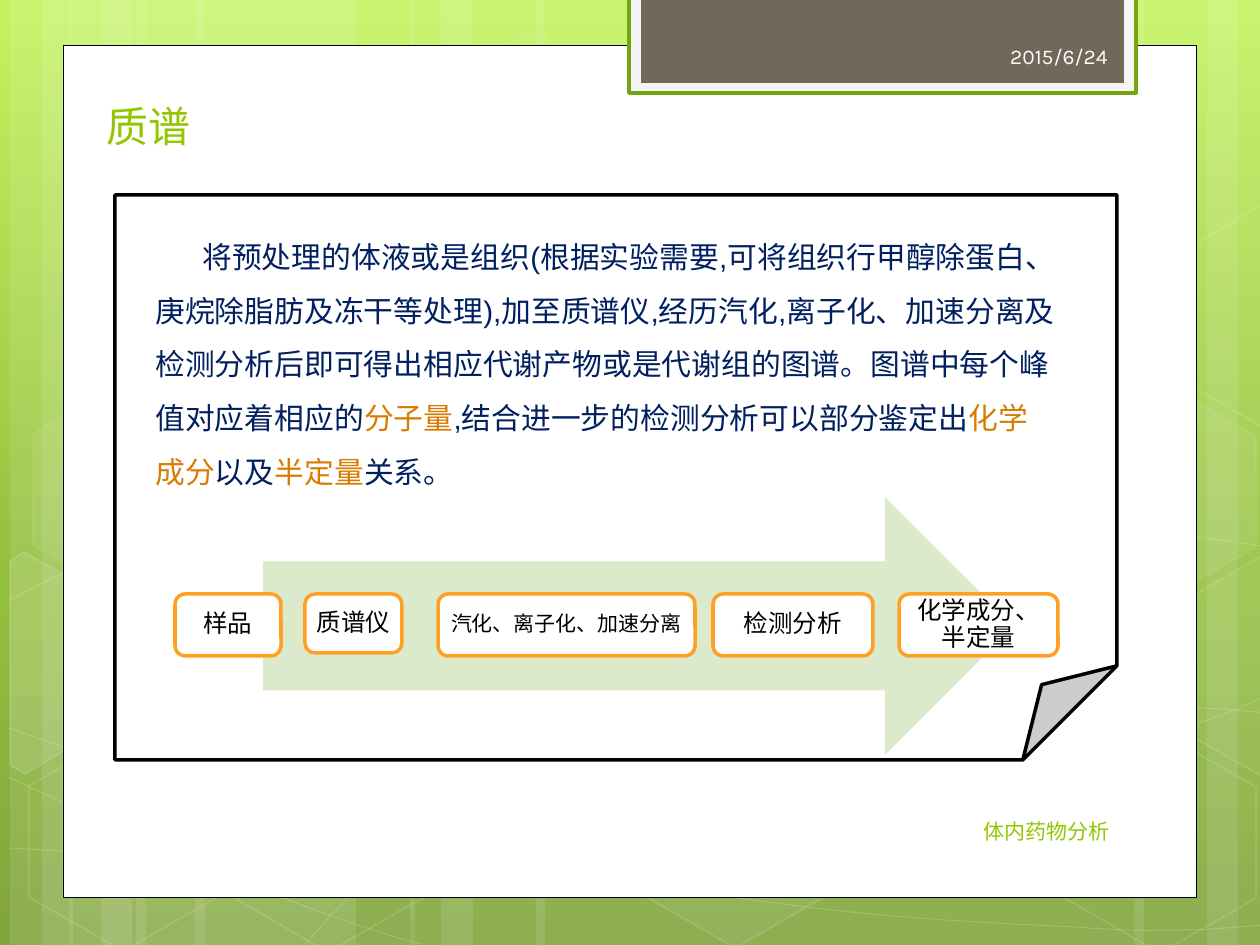
"""Build the mass spectrometry slide: green backdrop, folded note and process arrow."""
import copy

import lxml.etree
import pptx
import pptx.dml.color
import pptx.enum.shapes
import pptx.enum.text
import pptx.oxml.ns
import pptx.util

RGB = pptx.dml.color.RGBColor
KIND = pptx.enum.shapes.MSO_SHAPE
ANCHOR = pptx.enum.text.MSO_ANCHOR
ALIGN = pptx.enum.text.PP_ALIGN
qn = pptx.oxml.ns.qn
UNIT = 914400 / 126

WHITE = RGB(0xFF, 0xFF, 0xFF)
BLACK = RGB(0x00, 0x00, 0x00)
LIME = RGB(0x94, 0xC6, 0x00)
MOSS = RGB(0x74, 0xA5, 0x10)
SMOKE = RGB(0xF5, 0xF5, 0xF5)
TAUPE = RGB(0x71, 0x68, 0x5A)
PEARL = RGB(0xFE, 0xFE, 0xFE)
NAVY = RGB(0x00, 0x20, 0x60)
AMBER = RGB(0xD7, 0x7C, 0x01)
ORANGE = RGB(0xFE, 0xA0, 0x22)
MINT = RGB(0xDC, 0xEA, 0xCC)
SKY = [(0, RGB(0xC3, 0xF3, 0x5F)), (0.62, RGB(0x93, 0xBF, 0x3F)),
       (1, RGB(0x81, 0xA5, 0x3E))]

deck = pptx.Presentation()
deck.slide_width = pptx.util.Inches(10)
deck.slide_height = pptx.util.Inches(7.5)
slide = deck.slides.add_slide(deck.slide_layouts[6])
shapes = slide.shapes


def paint(item, fill=None, line=None, width=1, fade=100, dim=100):
    item.shadow.inherit = False
    if fill is None:
        item.fill.background()
    else:
        item.fill.solid()
        item.fill.fore_color.rgb = fill
    if line is None:
        item.line.fill.background()
    else:
        item.line.color.rgb = line
        item.line.width = pptx.util.Pt(width)
    for solid in item._element.spPr.iter(qn("a:solidFill")):
        part = dim if solid.getparent().tag == qn("a:ln") else fade
        if part < 100:
            lxml.etree.SubElement(solid[0], qn("a:alpha")).set("val", str(part * 1000))


def write(item, runs, size, face="Karla", align=ALIGN.LEFT, anchor=ANCHOR.MIDDLE):
    frame = item.text_frame
    frame.word_wrap = True
    frame.vertical_anchor = anchor
    para = frame.paragraphs[0]
    para.alignment = align
    for text, color in runs:
        run = para.add_run()
        run.text = text
        run.font.size = pptx.util.Pt(size)
        run.font.name = face
        run.font.color.rgb = color
    return para


back = slide.background.fill
back.gradient()
back.gradient_angle = 270
stops = next(slide._element.iter(qn("a:gsLst")))
stops.append(copy.deepcopy(stops[-1]))
for stop, (place, color) in zip(back.gradient_stops, SKY):
    stop.position = place
    stop.color.rgb = color

beams = [(136, 220), (10, 63), (42, 104), (195, 220), (69, 63), (101, 104),
         (924, 220), (1207, 63), (1134, 104), (536, 388), (410, 63), (441, 104)]
for x, w in beams:
    box = [round(v * UNIT) for v in (x, 0, w, 945)]
    paint(shapes.add_shape(KIND.RECTANGLE, *box), WHITE, fade=10)

curves = [
    [(9, 848), (77, 852), (145, 856), (239, 854), (334, 853), (451, 851), (577, 838),
     (703, 825), (882, 801), (998, 777), (1113, 753), (1231, 716), (1269, 694)],
    [(9, 601), (45, 581), (82, 562), (152, 543), (224, 524), (326, 496), (437, 488),
     (549, 479), (685, 478), (824, 488), (963, 498), (1193, 537), (1269, 547)],
    [(8, 777), (160, 847), (311, 916), (421, 944)],
    [(9, 728), (48, 742), (88, 756), (161, 776), (234, 795), (344, 827), (450, 848),
     (554, 869), (687, 892), (791, 905), (896, 919), (1008, 924), (1075, 927),
     (1140, 932), (1158, 930), (1191, 930), (1223, 929), (1246, 926), (1269, 925)],
    [(305, 944), (328, 919), (350, 893), (381, 871), (411, 848), (454, 825), (489, 805),
     (524, 788), (546, 780), (592, 767), (638, 754), (722, 737), (766, 728),
     (811, 719), (818, 719), (857, 717), (896, 713), (958, 709), (1000, 708),
     (1044, 707), (1116, 708), (1116, 708), (1144, 708), (1173, 708), (1201, 708),
     (1223, 709), (1245, 711), (1256, 712), (1268, 713), (1264, 712), (1268, 713)],
]
for nodes in curves:
    dots = [(x * UNIT, y * UNIT) for x, y in nodes]
    path = shapes.build_freeform(*dots[0])
    path.add_line_segments(dots[1:], close=False)
    curve = path.convert_to_shape()
    legs = list(curve._element.iter(qn("a:lnTo")))
    track = legs[0].getparent()
    for k in range(0, len(legs), 3):
        bend = lxml.etree.SubElement(track, qn("a:cubicBezTo"))
        for leg in legs[k:k + 3]:
            bend.append(leg[0])
            track.remove(leg)
    paint(curve, line=WHITE, width=0.5, dim=20)

cells = [(421, 45, 4, 8), (626, 742, 6, 12), (14, 745, 0, 12), (18, 393, 7, 8),
         (219, 746, 0, 12), (949, 571, 10, 12), (1051, 747, 0, 12), (1051, 396, 7, 8)]
for x, y, fade, dim in cells:
    cell = shapes.add_shape(KIND.HEXAGON, *[round(v * UNIT) for v in (x, y, 220, 192)])
    cell.adjustments[0] = 0.29
    cell.rotation = 30
    paint(cell, WHITE if fade else None, WHITE, 1, fade, dim)

shards = [
    ([(10, 561), (24, 552), (121, 607), (120, 718), (25, 774), (10, 765)], 10),
    ([(1167, 611), (1261, 556), (1271, 562), (1271, 772), (1263, 777), (1167, 722)], 4),
    ([(1167, 261), (1261, 205), (1273, 212), (1271, 422), (1263, 427), (1167, 372)], 0),
]
for nodes, fade in shards:
    dots = [(x * UNIT, y * UNIT) for x, y in nodes]
    path = shapes.build_freeform(*dots[0])
    path.add_line_segments(dots[1:], close=True)
    paint(path.convert_to_shape(), WHITE if fade else None, WHITE, 1, fade, 12)

panels = [
    (KIND.RECTANGLE, (63, 45, 1134, 853), WHITE, BLACK, 0.5),
    (KIND.RECTANGLE, (629, -2, 507, 95), SMOKE, MOSS, 2),
    (KIND.RECTANGLE, (641, -2, 483, 85), TAUPE, None, 0),
    (KIND.FOLDED_CORNER, (115, 195, 1002, 565), WHITE, BLACK, 2),
]
for kind, box, fill, line, width in panels:
    paint(shapes.add_shape(kind, *[round(v * UNIT) for v in box]), fill, line, width)

labels = [
    ((94, 0, 968, 157), "质谱", 24, LIME, ALIGN.LEFT, ANCHOR.BOTTOM),
    ((827, 31, 293, 50), "2015/6/24", 12, PEARL, ALIGN.RIGHT, ANCHOR.MIDDLE),
    ((639, 806, 483, 50), "体内药物分析", 12, LIME, ALIGN.RIGHT, ANCHOR.MIDDLE),
]
for box, text, size, color, align, anchor in labels:
    label = shapes.add_textbox(*[round(v * UNIT) for v in box])
    write(label, [(text, color)], size, align=align, anchor=anchor)

story = [
    ("将预处理的体液或是组织(根据实验需要,可将组织行甲醇除蛋白、庚烷除脂肪及冻干等处理),"
     "加至质谱仪,经历汽化,离子化、加速分离及检测分析后即可得出相应代谢产物或是代谢组的图谱。"
     "图谱中每个峰值对应着相应的", NAVY),
    ("分子量", AMBER),
    (",结合进一步的检测分析可以部分鉴定出", NAVY),
    ("化学成分", AMBER),
    ("以及", NAVY),
    ("半定量", AMBER),
    ("关系。", NAVY),
]
body = shapes.add_textbox(*[round(v * UNIT) for v in (134, 215, 935, 587)])
para = write(body, story, 17, "Arial", anchor=ANCHOR.TOP)
para.line_spacing = 1.5
para._p.get_or_add_pPr().set("marL", str(round(9 * UNIT)))
para._p.get_or_add_pPr().set("indent", str(round(47 * UNIT)))

arrow = shapes.add_shape(KIND.RIGHT_ARROW, *[round(v * UNIT) for v in (263, 497, 751, 258)])
paint(arrow, MINT)

steps = [("样品", 175, 106, 62, 14), ("质谱仪", 305, 97, 59, 14),
         ("汽化、离子化、加速分离", 438, 257, 62, 12),
         ("检测分析", 713, 160, 62, 14), ("化学成分、半定量", 899, 159, 62, 14)]
for text, x, w, h, size in steps:
    step = shapes.add_shape(KIND.ROUNDED_RECTANGLE, *[round(v * UNIT) for v in (x, 594, w, h)])
    paint(step, WHITE, ORANGE, 2)
    frame = step.text_frame
    frame.margin_left = frame.margin_right = round(6 * UNIT)
    frame.margin_top = frame.margin_bottom = 0
    write(step, [(text, BLACK)], size, align=ALIGN.CENTER).line_spacing = 0.9

deck.save("out.pptx")
